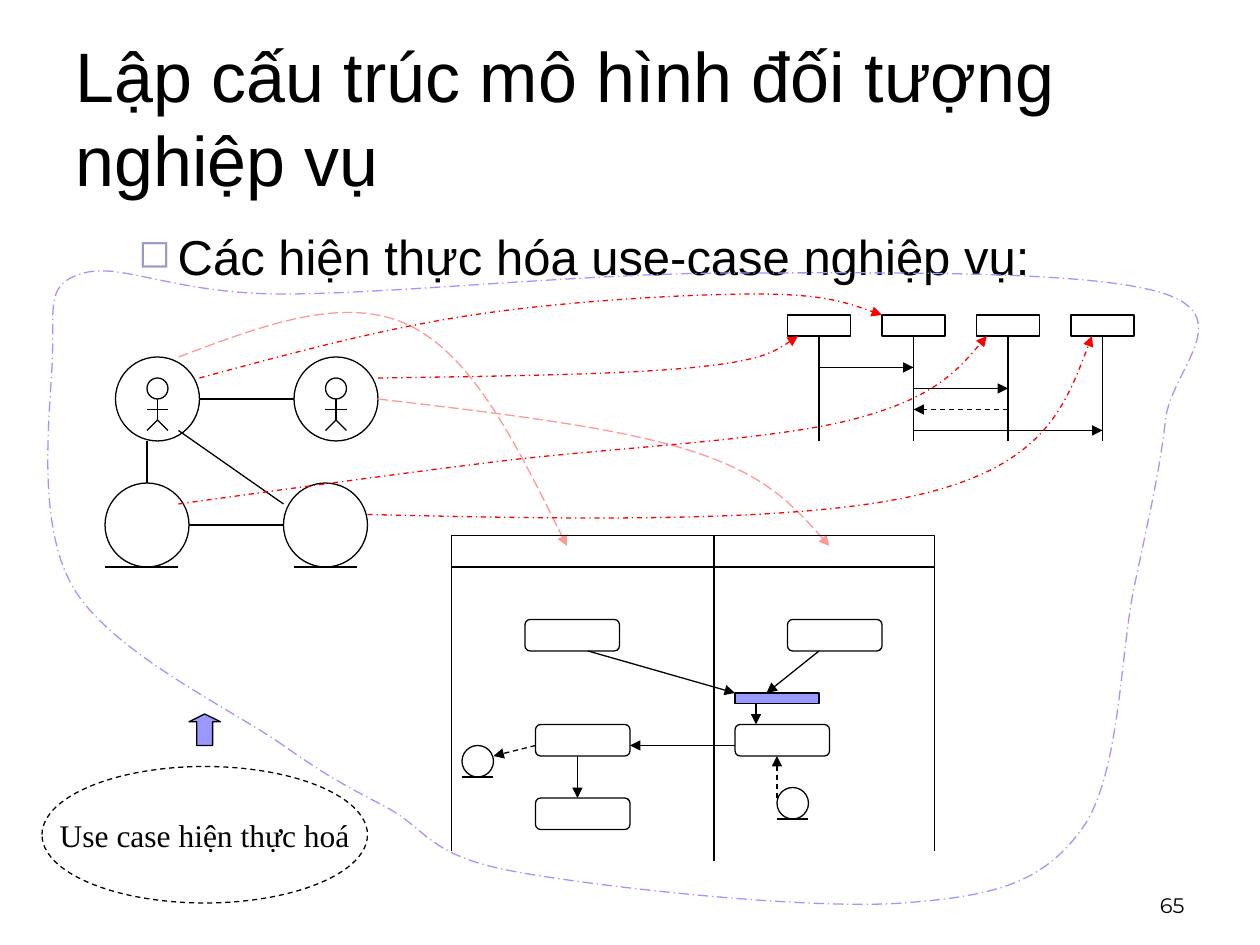
from lxml.etree import SubElement
from pptx import Presentation
from pptx.dml.color import RGBColor
from pptx.enum.dml import MSO_LINE as DASH
from pptx.enum.shapes import MSO_CONNECTOR, MSO_SHAPE as SHAPE
from pptx.enum.text import MSO_ANCHOR as ANCHOR, PP_ALIGN as ALIGN
from pptx.oxml.ns import qn
from pptx.util import Pt

COLORS = {"ink": "000000", "violet": "9999FF", "bullet": "9999CC",
          "red": "FF0000", "pink": "FF9999"}

ACTIVITY_CURVES = [
    [(102, 204), (150, 186), (197, 168), (234, 186), (271, 204), (297, 258), (324, 312)],
    [(216, 228), (284, 236), (353, 244), (396, 258), (439, 272), (456, 292), (474, 312)],
]
SEQUENCE_CURVES = [
    [(114, 216), (166, 202), (217, 188), (270, 180), (323, 172), (393, 168), (432, 168),
     (471, 168), (487, 174), (504, 180)],
    [(216, 216), (286, 215), (356, 214), (396, 210), (436, 206), (446, 199), (456, 192)],
    [(210, 294), (335, 297), (459, 299), (528, 282), (597, 265), (610, 229), (624, 192)],
    [(102, 288), (160, 280), (218, 272), (282, 264), (346, 256), (439, 252), (486, 240),
     (533, 228), (549, 210), (564, 192)],
]
BOUNDARY = [
    (162, 426), (132, 405), (64, 373), (42, 336), (20, 299), (29, 234), (30, 204),
    (31, 174), (26, 162), (48, 156), (70, 150), (100, 168), (162, 168),
    (224, 168), (336, 156), (420, 156), (504, 156), (625, 154), (666, 168),
    (707, 182), (669, 212), (666, 240), (663, 268), (656, 298), (648, 336),
    (640, 375), (640, 444), (618, 474), (596, 504), (570, 512), (516, 516),
    (462, 520), (343, 507), (294, 498), (245, 489), (244, 474), (222, 462),
    (200, 450), (192, 447), (162, 426),
]


def rgb(name):
    """Return the named colour."""
    return RGBColor.from_string(COLORS[name])


def style_line(sp, color="ink", dash=None, arrow=False):
    """Set outline colour, dash and end arrowhead."""
    sp.line.color.rgb = rgb(color)
    sp.line.width = Pt(0.75)
    if dash:
        sp.line.dash_style = dash
    if arrow:
        SubElement(sp.get_or_add_ln(), qn("a:tailEnd"), type="triangle")


def add_box(shapes, kind, x, y, w, h, fill=None, dash=None):
    """Add an outlined preset shape."""
    sp = shapes.add_shape(kind, Pt(x), Pt(y), Pt(w), Pt(h))
    sp.shadow.inherit = False
    if fill:
        sp.fill.solid()
        sp.fill.fore_color.rgb = rgb(fill)
    else:
        sp.fill.background()
    style_line(sp, dash=dash)
    return sp


def add_line(shapes, x1, y1, x2, y2, dash=None, arrow=False):
    """Add a straight connector."""
    cxn = shapes.add_connector(MSO_CONNECTOR.STRAIGHT, Pt(x1), Pt(y1), Pt(x2), Pt(y2))
    style_line(cxn, dash=dash, arrow=arrow)
    SubElement(cxn._element.spPr, qn("a:effectLst"))
    return cxn


def add_curve(shapes, points, color, dash, closed=False):
    """Add a freeform whose points after the first form cubic segments."""
    builder = shapes.build_freeform(*points[0], scale=Pt(1))
    builder.add_line_segments(points[1:], close=closed)
    sp = builder.convert_to_shape()
    path = sp._element.find(".//" + qn("a:path"))
    steps = path.findall(qn("a:lnTo"))
    for i in range(0, len(steps) - 2, 3):
        curve = SubElement(path, qn("a:cubicBezTo"))
        steps[i].addprevious(curve)
        for step in steps[i:i + 3]:
            curve.append(step[0])
            path.remove(step)
    sp.shadow.inherit = False
    sp.fill.background()
    style_line(sp, color, dash, arrow=not closed)


def add_run(p, text, size, font):
    """Add a formatted run to a paragraph."""
    r = p.add_run()
    r.text = text
    r.font.size = Pt(size)
    r.font.name = font
    r.font.color.rgb = rgb("ink")


def add_text(shapes, box, text, size, font="Arial", anchor=ANCHOR.TOP, align=ALIGN.LEFT):
    """Add a wrapped text box and return its paragraph."""
    tf = shapes.add_textbox(*map(Pt, box)).text_frame
    tf.word_wrap = True
    tf.vertical_anchor = anchor
    p = tf.paragraphs[0]
    p.alignment = align
    add_run(p, text, size, font)
    return p


def add_bullet(p):
    """Give a paragraph a hanging square bullet."""
    pPr = p._p.get_or_add_pPr()
    pPr.set("marL", str(Pt(58.5)))
    pPr.set("indent", str(-Pt(22.5)))
    color = SubElement(pPr, qn("a:buClr"))
    SubElement(color, qn("a:srgbClr"), val=COLORS["bullet"])
    SubElement(pPr, qn("a:buSzPct"), val="80000")
    SubElement(pPr, qn("a:buChar"), char="◻")


def add_actor(shapes, x, y):
    """Add a stick figure inside a circle."""
    add_box(shapes, SHAPE.OVAL, x, y, 48, 48)
    add_box(shapes, SHAPE.OVAL, x + 18, y + 12, 12, 12)
    for x1, y1, x2, y2 in [(24, 24, 24, 36), (24, 36, 18, 42),
                           (24, 36, 30, 42), (18, 30, 30, 30)]:
        add_line(shapes, x + x1, y + y1, x + x2, y + y2)


def add_entity(shapes, x, y, size, start, end):
    """Add a circle standing on a base line."""
    add_box(shapes, SHAPE.OVAL, x, y, size, size)
    add_line(shapes, start, y + size, end, y + size)


def add_object_diagram(shapes):
    """Add the linked actors and entities."""
    add_entity(shapes, 162, 276, 48, 168, 204)
    add_entity(shapes, 60, 276, 48, 60, 102)
    for x in (66, 168):
        add_actor(shapes, x, 204)
    for ends in [(114, 228, 168, 228), (102, 246, 162, 288),
                 (84, 252, 84, 276), (162, 300, 108, 300)]:
        add_line(shapes, *ends)


def add_sequence_diagram(shapes):
    """Add four lifelines and their messages."""
    lifelines = [468 + 54 * i for i in range(4)]
    for x in lifelines:
        head = add_box(shapes, SHAPE.RECTANGLE, x - 18, 180, 36, 12)
        add_line(shapes, x, 192, x, 252).begin_connect(head, 2)
    messages = [(0, 1, None), (1, 2, None), (2, 1, DASH.DASH), (1, 3, None)]
    for i, (src, dst, dash) in enumerate(messages):
        y = 210 + 12 * i
        add_line(shapes, lifelines[src], y, lifelines[dst], y, dash, True)


def add_activity_diagram(shapes):
    """Add two swimlanes with their activities and flows."""
    for x, bottom in [(258, 486), (408, 492), (534, 486)]:
        add_line(shapes, x, 306, x, bottom)
    for x, w in [(258, 150), (408, 126)]:
        add_box(shapes, SHAPE.RECTANGLE, x, 306, w, 18)
    for x, y in [(300, 354), (450, 354), (420, 414), (306, 414), (306, 456)]:
        add_box(shapes, SHAPE.ROUNDED_RECTANGLE, x, y, 54, 18)
    add_box(shapes, SHAPE.RECTANGLE, 420, 396, 48, 6, fill="violet")
    for x, y in [(264, 426), (444, 450)]:
        add_entity(shapes, x, y, 18, x, x + 18)
    for ends in [(336, 372, 420, 396), (468, 372, 438, 396), (432, 402, 432, 414),
                 (420, 426, 360, 426), (330, 432, 330, 456)]:
        add_line(shapes, *ends, arrow=True)
    for ends in [(306, 426, 282, 432), (444, 456, 444, 432)]:
        add_line(shapes, *ends, dash=DASH.DASH, arrow=True)


def add_use_case(shapes):
    """Add the dashed use-case ellipse and its arrow."""
    sp = add_box(shapes, SHAPE.OVAL, 24, 438, 186, 78, dash=DASH.DASH)
    tf = sp.text_frame
    tf.word_wrap = False
    tf.vertical_anchor = ANCHOR.MIDDLE
    tf.paragraphs[0].alignment = ALIGN.CENTER
    add_run(tf.paragraphs[0], "Use case hiện thực hoá", 18, "Times New Roman")
    arrow = add_box(shapes, SHAPE.UP_ARROW, 108, 408, 18, 18, fill="violet")
    arrow.adjustments[1] = 0.25


def main():
    """Build and save the slide."""
    prs = Presentation()
    prs.slide_width, prs.slide_height = Pt(720), Pt(540)
    shapes = prs.slides.add_slide(prs.slide_layouts[6]).shapes
    add_text(shapes, (36, 21.6, 666, 90), "Lập cấu trúc mô hình đối tượng nghiệp vụ", 40,
             anchor=ANCHOR.MIDDLE)
    add_bullet(add_text(shapes, (36, 126, 648, 96),
                        "Các hiện thực hóa use-case nghiệp vụ:", 28))
    add_text(shapes, (516, 492, 168, 36), "65", 12, "Montserrat", ANCHOR.BOTTOM, ALIGN.RIGHT)
    add_object_diagram(shapes.add_group_shape().shapes)
    for points in ACTIVITY_CURVES:
        add_curve(shapes, points, "pink", DASH.LONG_DASH)
    add_sequence_diagram(shapes.add_group_shape().shapes)
    for points in SEQUENCE_CURVES:
        add_curve(shapes, points, "red", DASH.DASH_DOT)
    add_activity_diagram(shapes.add_group_shape().shapes)
    add_use_case(shapes)
    add_curve(shapes, BOUNDARY, "violet", DASH.LONG_DASH_DOT, closed=True)


    prs.save("out.pptx")


if __name__ == "__main__":
    main()
